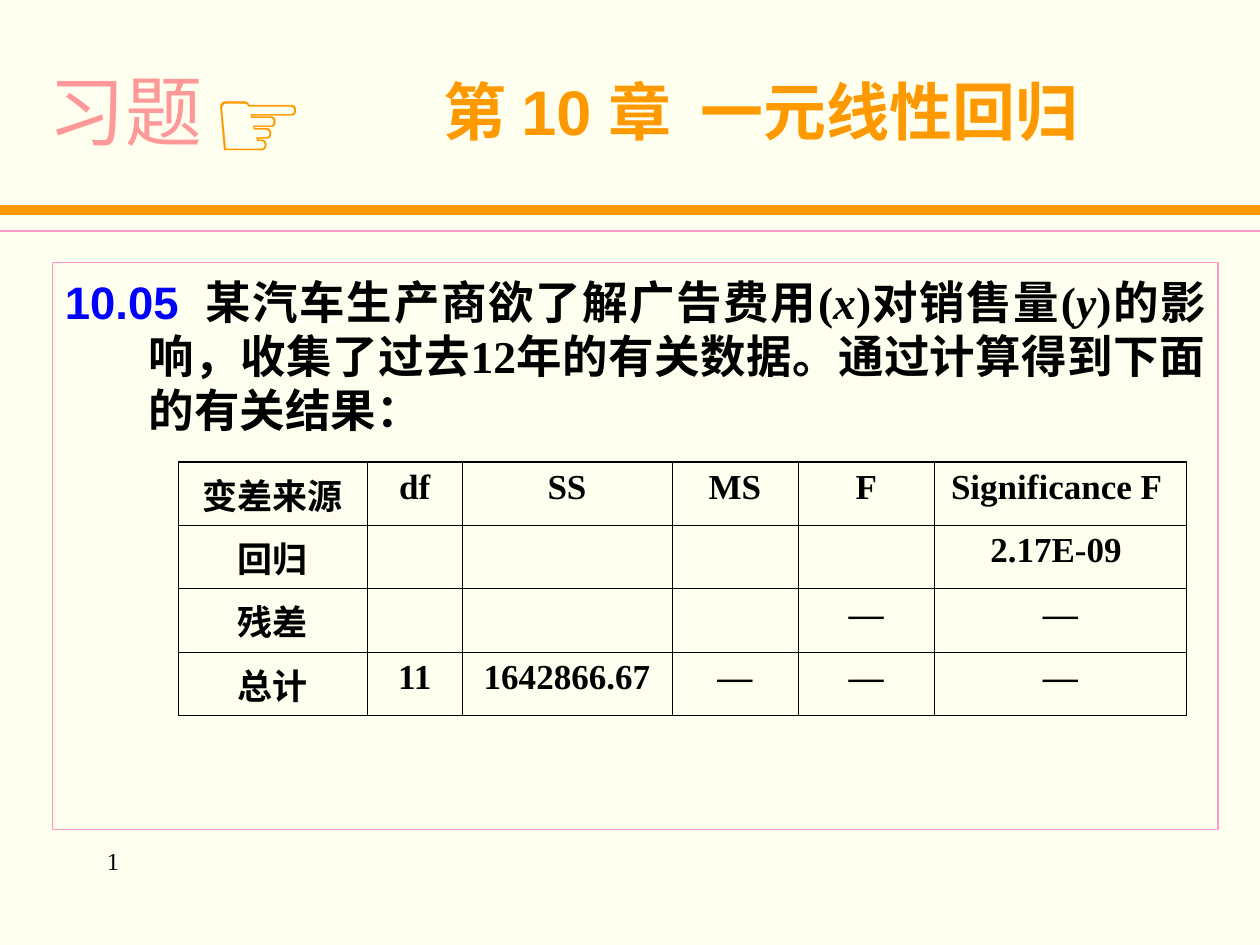
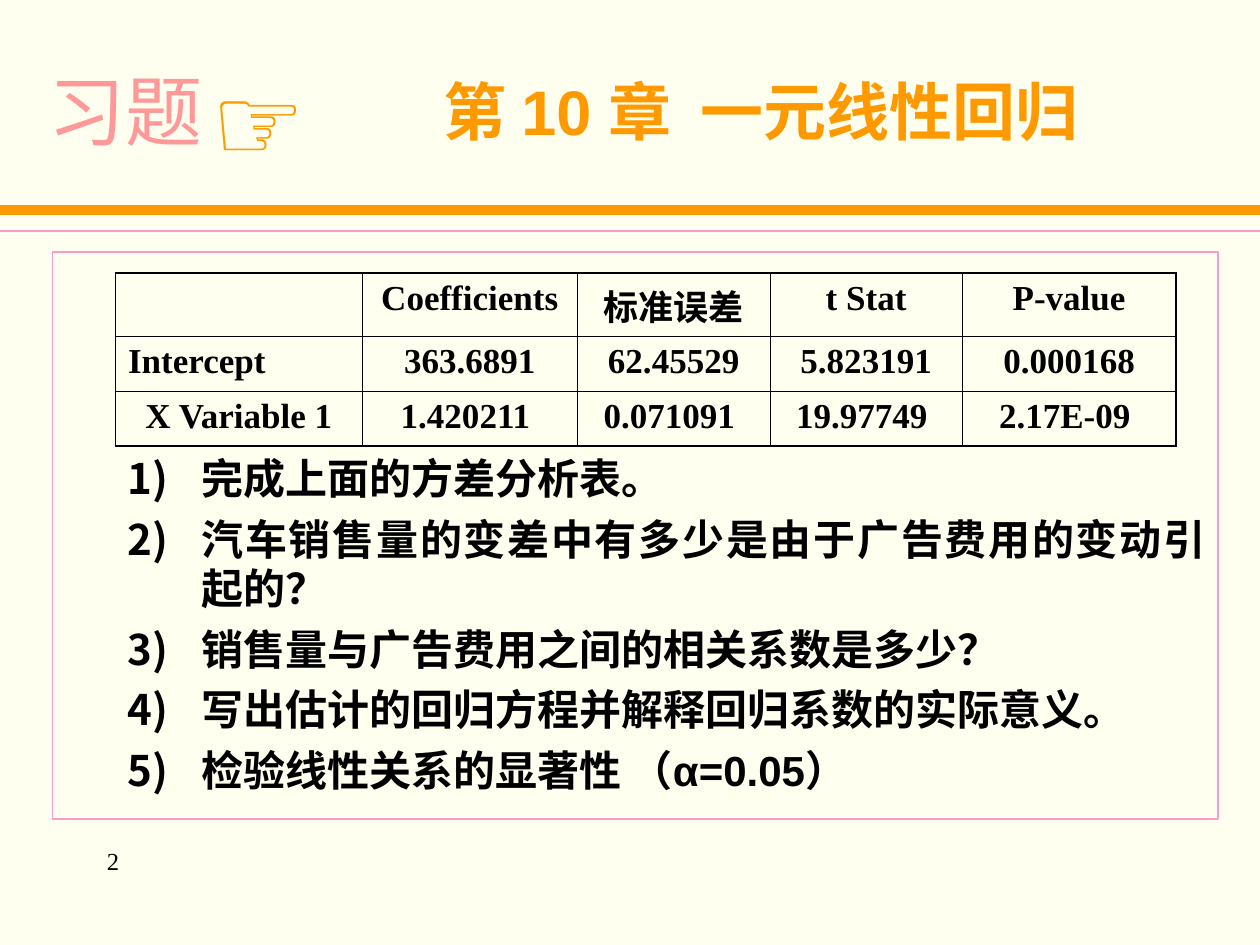
from lxml import etree
from pptx import Presentation
from pptx.dml.color import RGBColor
from pptx.enum.shapes import MSO_CONNECTOR, MSO_SHAPE
from pptx.enum.text import MSO_ANCHOR, PP_ALIGN
from pptx.oxml.ns import qn
from pptx.util import Pt

PAPER, ORANGE, PINK, SALMON = "FFFFEF", "FF9900", "FF99CC", "FF9999"
BLACK, BLUE = "000000", "0000FF"
SERIF, SANS = "Times New Roman", "Arial"
WIDTH, HEIGHT = 720, 540
INSET_X, INSET_Y = 7.2, 3.6

ANOVA = [
    ["变差来源", "df", "SS", "MS", "F", "Significance F "],
    ["回归", "", "", "", "", "2.17E-09 "],
    ["残差", "", "", "", "—", "—"],
    ["总计", "11", "1642866.67", "—", "—", "—"],
]
COEFFICIENTS = [
    ["", "Coefficients", "标准误差", "t Stat", "P-value"],
    ["Intercept", "363.6891", "62.45529", "5.823191", "0.000168"],
    ["X Variable 1", "1.420211 ", "0.071091 ", "19.97749 ", "2.17E-09 "],
]
QUESTIONS = [
    [("完成上面的方差分析表。", SERIF)],
    [("汽车销售量的变差中有多少是由于广告费用的变动引起的？", SERIF)],
    [("销售量与广告费用之间的相关系数是多少？", SERIF)],
    [("写出估计的回归方程并解释回归系数的实际意义。", SERIF)],
    [("检验线性关系的显著性", SERIF), (" （α=0.05）", SANS)],
]


def rgb(value):
    return RGBColor.from_string(value)


def style(font, size, name=SERIF, color=BLACK, bold=False, italic=False):
    font.size, font.name, font.bold, font.italic = Pt(size), name, bold, italic
    font.color.rgb = rgb(color)


def add_run(p, text, size, **look):
    r = p.add_run()
    r.text = text
    style(r.font, size, **look)


def set_frame(tf, top=INSET_Y, anchor=MSO_ANCHOR.TOP):
    tf.word_wrap = True
    tf.vertical_anchor = anchor
    tf.margin_left = tf.margin_right = Pt(INSET_X)
    tf.margin_top, tf.margin_bottom = Pt(top), Pt(INSET_Y)


def add_label(s, box, align=PP_ALIGN.LEFT, **frame):
    """Add an empty text box and return its first paragraph."""
    tf = s.shapes.add_textbox(*map(Pt, box)).text_frame
    set_frame(tf, **frame)
    p = tf.paragraphs[0]
    p.alignment = align
    return p


def add_rule(s, y, color, weight):
    line = s.shapes.add_connector(MSO_CONNECTOR.STRAIGHT, 0, Pt(y), Pt(WIDTH), Pt(y))
    line.line.color.rgb = rgb(color)
    line.line.width = Pt(weight)
    etree.SubElement(line._element.spPr, qn("a:effectLst"))


def add_header(s):
    add_rule(s, 120, ORANGE, 6)
    add_rule(s, 132, PINK, 0.75)
    p = add_label(s, (18, 28.8, 108, 60.5), PP_ALIGN.CENTER, top=8.5)
    p.line_spacing = Pt(52)
    add_run(p, "习题", 44, color=SALMON)
    p = add_label(s, (114, 28.8, 72, 79.2))
    add_run(p, "☞", 60, name=SANS, color=ORANGE, bold=True)
    p = add_label(s, (198, 18, 474, 90), PP_ALIGN.CENTER, anchor=MSO_ANCHOR.MIDDLE)
    add_run(p, "第 10 章  一元线性回归", 36, name=SANS, color=ORANGE, bold=True)


def add_slide_number(s, number):
    p = add_label(s, (54, 480, 150, 36))
    add_run(p, str(number), 14)
    field = p.runs[0]._r
    field.tag = qn("a:fld")
    field.set("id", "{B6F15528-21DE-4FAA-801E-634DDDAF4B2B}")
    field.set("type", "slidenum")


def add_body(s, box, top):
    """Add the pink framed text area and return its text frame."""
    sp = s.shapes.add_shape(MSO_SHAPE.RECTANGLE, *map(Pt, box))
    sp.shadow.inherit = False
    sp.fill.background()
    sp.line.color.rgb = rgb(PINK)
    sp.line.width = Pt(0.75)
    set_frame(sp.text_frame, top)
    return sp.text_frame


def set_hanging(p, left, hang, spacing):
    p.alignment = PP_ALIGN.JUSTIFY
    p.line_spacing = Pt(spacing)
    pPr = p._p.get_or_add_pPr()
    pPr.set("marL", str(Pt(left)))
    pPr.set("indent", str(Pt(-hang)))
    return pPr


def add_problem(s, box):
    p = add_body(s, box, top=6.5).paragraphs[0]
    set_hanging(p, 48, 48, 31)
    add_run(p, "10.05\u00a0\u00a0", 26, name=SANS, color=BLUE, bold=True)
    for text, italic in [
        ("某汽车生产商欲了解广告费用(", False),
        ("x", True),
        (")对销售量(", False),
        ("y", True),
        (")的影响，收集了过去12年的有关数据。通过计算得到下面的有关结果：", False),
    ]:
        add_run(p, text, 26, bold=True, italic=italic)


def add_questions(s, box):
    tf = add_body(s, box, top=115)
    for i, runs in enumerate(QUESTIONS):
        p = tf.add_paragraph() if i else tf.paragraphs[0]
        pPr = set_hanging(p, 78, 42, 28.5)
        if i:
            p.space_before = Pt(6)
        color = etree.SubElement(pPr, qn("a:buClr"))
        etree.SubElement(color, qn("a:srgbClr"), val=BLACK)
        etree.SubElement(pPr, qn("a:buAutoNum"), type="arabicParenR")
        for text, name in runs:
            add_run(p, text, 24, name=name, bold=True)


def set_border(cell, side, weight):
    ln = etree.SubElement(cell._tc.get_or_add_tcPr(), qn(f"a:ln{side}"), w=str(Pt(weight)))
    fill = etree.SubElement(ln, qn("a:solidFill"))
    etree.SubElement(fill, qn("a:srgbClr"), val=BLACK)


def add_grid(s, left, top, widths, heights, rows):
    """Add a table with thin inner lines and a thicker outline."""
    n_rows, n_cols = len(rows), len(widths)
    table = s.shapes.add_table(n_rows, n_cols, Pt(left), Pt(top),
                               Pt(sum(widths)), Pt(sum(heights))).table
    table.first_row = table.horz_banding = False
    for column, width in zip(table.columns, widths):
        column.width = Pt(width)
    for i, (row, height) in enumerate(zip(rows, heights)):
        table.rows[i].height = Pt(height)
        for j, text in enumerate(row):
            cell = table.cell(i, j)
            outer = {"L": j == 0, "R": j == n_cols - 1, "T": i == 0, "B": i == n_rows - 1}
            for side, is_outer in outer.items():
                set_border(cell, side, 1.08 if is_outer else 0.45)
            cell.fill.background()
            p = cell.text_frame.paragraphs[0]
            p.alignment = PP_ALIGN.JUSTIFY if text == "Intercept" else PP_ALIGN.CENTER
            if text:
                add_run(p, text, 20, bold=True)


def new_slide(prs):
    s = prs.slides.add_slide(prs.slide_layouts[6])
    s.background.fill.solid()
    s.background.fill.fore_color.rgb = rgb(PAPER)
    add_header(s)
    add_slide_number(s, len(prs.slides))
    return s


def main():
    prs = Presentation()
    prs.slide_width, prs.slide_height = Pt(WIDTH), Pt(HEIGHT)

    s = new_slide(prs)
    add_problem(s, (30, 150, 666, 324))
    add_grid(s, 102, 264, [108, 54, 120, 72, 78, 144], [36.25] * 4, ANOVA)

    s = new_slide(prs)
    add_questions(s, (30, 144, 666, 324))
    add_grid(s, 66, 156, [141, 123, 110, 110, 122], [36.25, 31.25, 31.25], COEFFICIENTS)

    prs.save("out.pptx")


if __name__ == "__main__":
    main()
